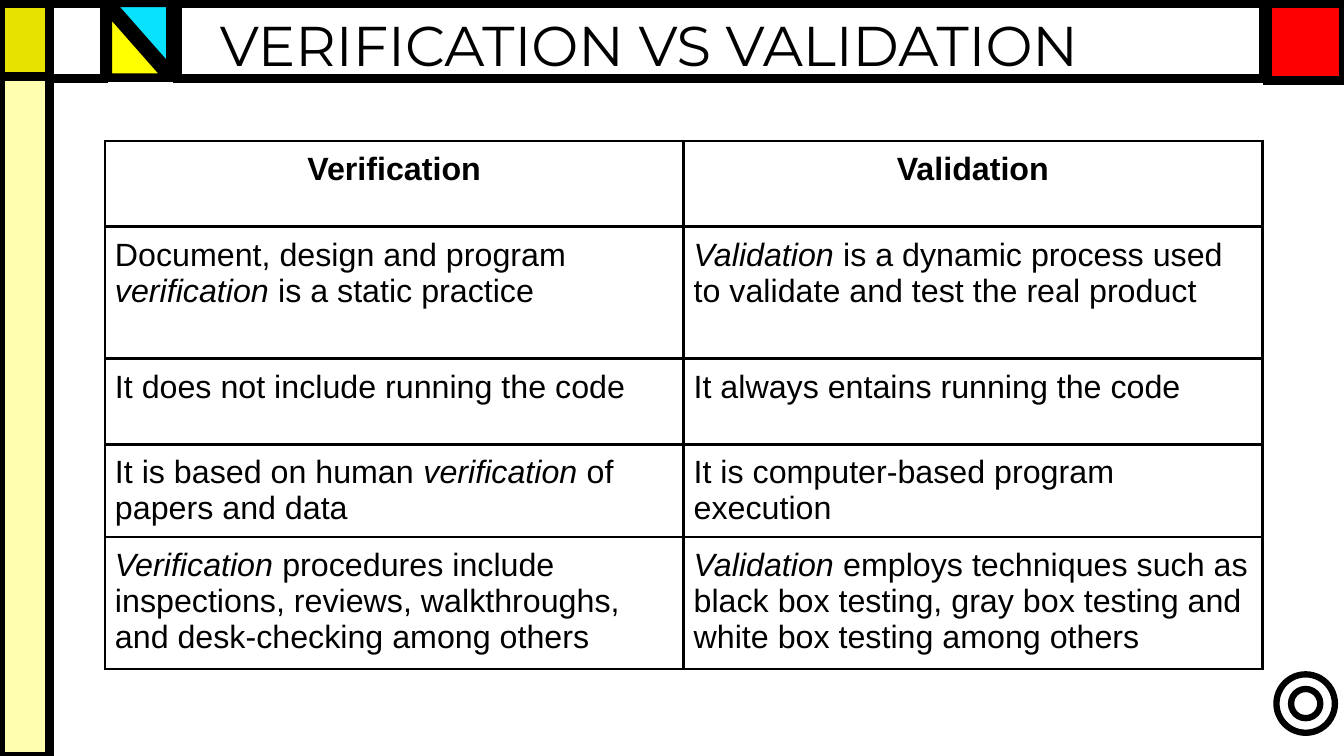
from lxml import etree
from pptx import Presentation
from pptx.dml.color import RGBColor
from pptx.enum.shapes import MSO_SHAPE as Kind
from pptx.enum.text import MSO_ANCHOR as Anchor, MSO_AUTO_SIZE as Fit, PP_ALIGN as Align
from pptx.oxml.ns import qn
from pptx.util import Inches, Pt

HUES = {"ink": "000000", "paper": "FFFFFF", "gold": "E7E200", "lemon": "FFFF00",
        "cream": "FFFFAF", "red": "FF0000", "sky": "09E2FF"}

HEADS = ["Verification", "Validation"]
# Words between asterisks are set in italics.
ROWS = [
    ("Document, design and program *verification *is a static practice",
     "*Validation *is a dynamic process used to validate and test the real product"),
    ("It does not include running the code",
     "It always entains running the code"),
    ("It is based on human *verification *of papers and data",
     "It is computer-based program execution"),
    ("*Verification *procedures include inspections, reviews, walkthroughs, "
     "and desk-checking among others",
     "*Validation *employs techniques such as black box testing, gray box testing "
     "and white box testing among others"),
]
HEIGHTS = [0.85, 1.31, 0.85, 0.85, 1.31]


def hue(name):
    return RGBColor.from_string(HUES[name])


def write(frame, text, size, face="Arial", color="ink", bold=False, align=Align.LEFT):
    """Fill the first paragraph, with *starred* parts in italics."""
    par = frame.paragraphs[0]
    par.alignment = align
    for i, part in enumerate(text.split("*")):
        if part:
            run = par.add_run()
            run.text = part
            font = run.font
            font.name, font.size = face, Pt(size)
            font.bold, font.italic = bold, i % 2 == 1
            font.color.rgb = hue(color)


def block(slide, kind, box, fill=None, width=6, turn=0):
    shape = slide.shapes.add_shape(kind, *map(Inches, box))
    shape.shadow.inherit = False
    shape.rotation = turn
    if fill:
        shape.fill.solid()
        shape.fill.fore_color.rgb = hue(fill)
    else:
        shape.fill.background()
    shape.line.color.rgb = hue("ink")
    shape.line.width = Pt(width)
    join = etree.SubElement(shape.line._get_or_add_ln(), qn("a:miter"))
    join.set("lim", "800000")
    return shape


def side(slide, left, top, width, height):
    """Draw the gold corner with the cream strip below it."""
    cap = 0.74
    block(slide, Kind.RECTANGLE, (left, top, width, cap), "gold")
    block(slide, Kind.RECTANGLE, (left, top + 0.72, width, height - 0.72), "cream")


def banner(slide, left, top, width, height):
    """Draw the top band: white cell, two triangles, title frame, red cell."""
    block(slide, Kind.RIGHT_TRIANGLE, (left + 0.58, top + 0.06, 0.59, 0.67), "lemon")
    block(slide, Kind.RECTANGLE, (left + 1.27, top, width - 2.06, height))
    block(slide, Kind.RECTANGLE, (left + width - 0.75, top, 0.75, height + 0.02), "red")
    block(slide, Kind.RECTANGLE, (left, top, 0.54, height), "paper")
    block(slide, Kind.RIGHT_TRIANGLE, (left + 0.61, top - 0.01, 0.59, 0.67), "sky", turn=180)


def heading(slide, left, top, width, height):
    title = slide.shapes.title
    title.left, title.top = Inches(left), Inches(top)
    title.width, title.height = Inches(width), Inches(height)
    frame = title.text_frame
    frame.auto_size, frame.word_wrap = Fit.NONE, True
    frame.vertical_anchor = Anchor.TOP
    write(frame, "VERIFICATION VS VALIDATION", 40, face="Montserrat")


def border(cell):
    props = cell._tc.get_or_add_tcPr()
    for i, edge in enumerate("LRTB"):
        line = etree.Element(qn(f"a:ln{edge}"), w=str(Pt(2.25)))
        fill = etree.SubElement(line, qn("a:solidFill"))
        etree.SubElement(fill, qn("a:srgbClr"), val=HUES["ink"])
        props.insert(i, line)


def compare(slide, left, top, width):
    rows = [HEADS, *ROWS]
    box = map(Inches, (left, top, width, sum(HEIGHTS)))
    table = slide.shapes.add_table(len(rows), len(HEADS), *box).table
    table.first_row = table.horz_banding = False
    for r, texts in enumerate(rows):
        table.rows[r].height = Inches(HEIGHTS[r])
        for c, text in enumerate(texts):
            cell = table.cell(r, c)
            cell.margin_left = cell.margin_right = Inches(0.1)
            cell.margin_top = cell.margin_bottom = Inches(0.1)
            cell.fill.background()
            border(cell)
            write(cell.text_frame, text, 23, bold=r == 0,
                  align=Align.LEFT if r else Align.CENTER)


def ring(slide, left, top, size):
    shape = block(slide, Kind.DONUT, (left, top, size, size), width=4.5)
    shape.adjustments[0] = 0.25


def main():
    deck = Presentation()
    deck.slide_width, deck.slide_height = Inches(13.33), Inches(7.5)
    slide = deck.slides.add_slide(deck.slide_layouts[5])
    slide.background.fill.solid()
    slide.background.fill.fore_color.rgb = hue("paper")
    side(slide, 0.01, 0.04, 0.48, 7.46)
    banner(slide, 0.49, 0.04, 12.83, 0.74)
    heading(slide, 2.08, 0.05, 10.42, 0.77)
    ring(slide, 12.66, 6.69, 0.58)
    compare(slide, 1.04, 1.4, 11.48)
    deck.save("out.pptx")


if __name__ == "__main__":
    main()
